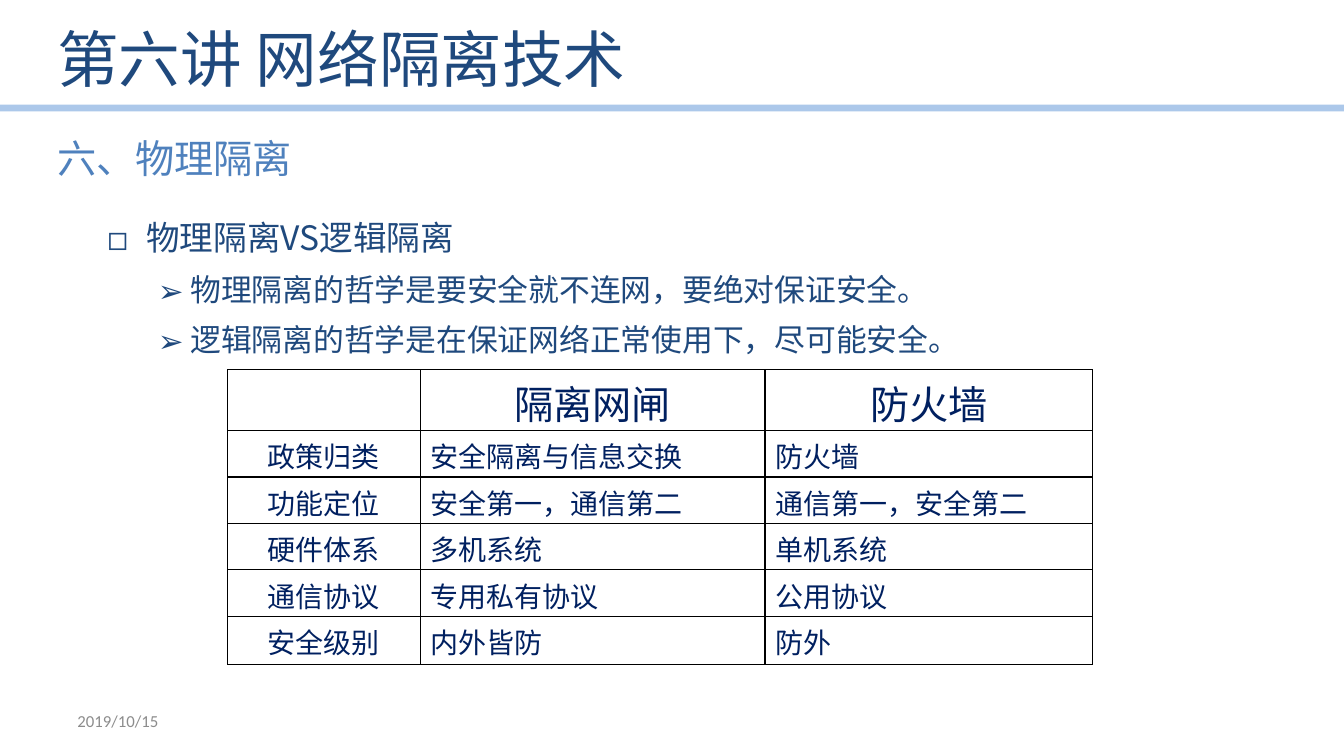
from dataclasses import dataclass

from pptx import Presentation
from pptx import util as u
from pptx.dml.color import RGBColor
from pptx.enum import shapes, text
from pptx.oxml import ns
from lxml import etree

# Content
TITLE = "第六讲 网络隔离技术"
SECTION = "六、物理隔离"
DATE = "2019/10/15"
POINTS = [
    (1, " 物理隔离VS逻辑隔离"),
    (2, " 物理隔离的哲学是要安全就不连网，要绝对保证安全。"),
    (2, " 逻辑隔离的哲学是在保证网络正常使用下，尽可能安全。"),
]
COMPARISON = [
    ("", "隔离网闸", "防火墙"),
    ("政策归类", "安全隔离与信息交换", "防火墙"),
    ("功能定位", "安全第一，通信第二", "通信第一，安全第二"),
    ("硬件体系", "多机系统", "单机系统"),
    ("通信协议", "专用私有协议", "公用协议"),
    ("安全级别", "内外皆防", "防外"),
]


@dataclass(frozen=True)
class Theme:
    font: str = "Noto Sans CJK SC"
    date_font: str = "Calibri"
    heading: str = "1F497D"
    section: str = "4F81BD"
    cell: str = "002060"
    date: str = "8C8C8C"
    rule: str = "8EB4E3"
    border: str = "000000"
    title_size: int = 44
    section_size: int = 28
    header_size: int = 28
    cell_size: int = 20
    date_size: int = 12


THEME = Theme()
# Per level: bullet, type size, left indent and hanging indent in cm
LEVELS = {1: ("◻", 24, 2.06, 0.79), 2: ("➢", 22, 3.18, 0.64)}
LEFT = 1.19
COLUMN_WIDTHS = (4.85, 8.69, 8.25)
ROW_HEIGHTS = (1.53, 1.17, 1.17, 1.17, 1.17, 1.22)
LEFT_ALIGN = text.PP_ALIGN.LEFT
CENTER = text.PP_ALIGN.CENTER


def add_xml(parent, tag, **attributes):
    return etree.SubElement(parent, ns.qn(tag), attributes)


def write(para, words, *, size, color, font=THEME.font, align=LEFT_ALIGN):
    para.alignment = align
    span = para.add_run()
    span.text = words
    span.font.size = u.Pt(size)
    span.font.bold = False
    span.font.color.rgb = RGBColor.from_string(color)
    span.font.name = font
    add_xml(span.font._element, "a:ea", typeface=font)


def add_box(page, left, top, width, height, wrap=True):
    box = page.shapes.add_textbox(*map(u.Cm, (left, top, width, height)))
    box.text_frame.word_wrap = wrap
    return box.text_frame


def set_bullet(para, mark, left, hanging):
    properties = para._p.get_or_add_pPr()
    properties.set("marL", str(u.Cm(left)))
    properties.set("indent", str(-u.Cm(hanging)))
    add_xml(properties, "a:buFont", typeface=THEME.font)
    add_xml(properties, "a:buChar", char=mark)


def set_borders(cell):
    properties = cell._tc.get_or_add_tcPr()
    for position, side in enumerate(("a:lnL", "a:lnR", "a:lnT", "a:lnB")):
        line = etree.Element(ns.qn(side), w=str(u.Pt(1)))
        add_xml(add_xml(line, "a:solidFill"), "a:srgbClr", val=THEME.border)
        properties.insert(position, line)


def add_comparison(page):
    frame = page.shapes.add_table(
        len(COMPARISON), len(COLUMN_WIDTHS), u.Cm(5.74), u.Cm(9.32),
        u.Cm(sum(COLUMN_WIDTHS)), u.Cm(sum(ROW_HEIGHTS)))
    table = frame.table
    table.first_row = table.horz_banding = False
    for column, width in zip(table.columns, COLUMN_WIDTHS):
        column.width = u.Cm(width)
    for r, (row, height) in enumerate(zip(table.rows, ROW_HEIGHTS)):
        row.height = u.Cm(height)
        for c, words in enumerate(COMPARISON[r]):
            cell = table.cell(r, c)
            cell.fill.background()
            cell.margin_top, cell.margin_bottom = u.Cm(0.12), 0
            set_borders(cell)
            if words:
                write(cell.text_frame.paragraphs[0], words, color=THEME.cell,
                      size=THEME.cell_size if r else THEME.header_size,
                      align=CENTER if r == 0 or c == 0 else LEFT_ALIGN)


def main():
    deck = Presentation()
    deck.slide_width, deck.slide_height = u.Cm(33.87), u.Cm(19.05)
    page = deck.slides.add_slide(deck.slide_layouts[5])

    # Rule under the title
    rule = page.shapes.add_connector(
        shapes.MSO_CONNECTOR.STRAIGHT, 0, u.Cm(2.72), deck.slide_width, u.Cm(2.72))
    rule.line.width = u.Pt(4.75)
    rule.line.color.rgb = RGBColor.from_string(THEME.rule)
    add_xml(rule._element.find(".//" + ns.qn("a:srgbClr")), "a:alpha", val="73000")
    add_xml(rule._element.spPr, "a:effectLst")

    # Title
    title = page.shapes.title
    title.left, title.top, title.width, title.height = map(u.Cm, (LEFT, 0.23, 27.99, 2.46))
    title.text_frame.vertical_anchor = text.MSO_ANCHOR.MIDDLE
    write(title.text_frame.paragraphs[0], TITLE, size=THEME.title_size, color=THEME.heading)

    # Bulleted points
    body = add_box(page, LEFT, 5.13, 31.19, 11.2)
    for i, (level, words) in enumerate(POINTS):
        para = body.add_paragraph() if i else body.paragraphs[0]
        mark, size, left, hanging = LEVELS[level]
        para.level = level
        para.line_spacing = 1.2
        para.space_before = u.Pt(size * 0.2)
        set_bullet(para, mark, left, hanging)
        write(para, words, size=size, color=THEME.heading, align=text.PP_ALIGN.JUSTIFY)

    # Section heading
    section = add_box(page, LEFT, 3.25, 6.5, 1.45, wrap=False)
    write(section.paragraphs[0], SECTION, size=THEME.section_size, color=THEME.section)

    # Comparison table
    add_comparison(page)

    # Date
    date = add_box(page, 1.7, 17.65, 7.9, 1.02)
    date.vertical_anchor = text.MSO_ANCHOR.MIDDLE
    write(date.paragraphs[0], DATE, size=THEME.date_size, color=THEME.date,
          font=THEME.date_font)

    deck.save("out.pptx")


if __name__ == "__main__":
    main()
